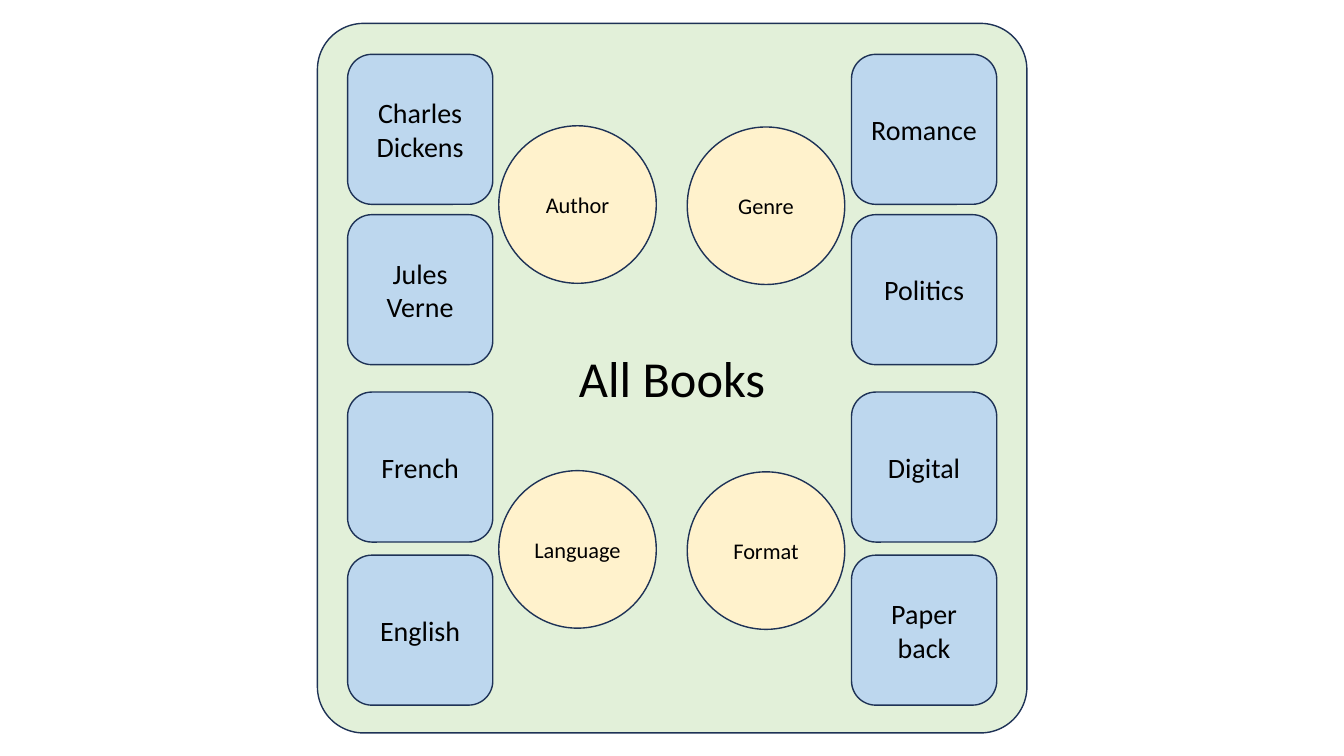
from pptx import Presentation
from pptx import util as u
from pptx.dml.color import RGBColor
from pptx.enum import shapes, text

GREEN = RGBColor(0xE2, 0xF0, 0xD9)
BLUE = RGBColor(0xBD, 0xD7, 0xEE)
CREAM = RGBColor(0xFF, 0xF2, 0xCC)
NAVY = RGBColor(0x1E, 0x32, 0x56)
BLACK = RGBColor(0, 0, 0)

TILE_LEFTS = (8.76, 21.46)
TILE_TOPS = (1.37, 5.41, 9.88, 13.99)
TILE_WIDTH, TILE_HEIGHT = 3.66, 3.78
TILES = (
    ("Charles Dickens", "Romance"),
    ("Jules Verne", "Politics"),
    ("French", "Digital"),
    ("English", "Paper\nback"),
)

FACET_LEFTS = (12.57, 17.32)
FACET_TOPS = (3.17, 11.86)
FACET_SIZE = 3.97
FACET_STEP = 0.03  # the right-hand circles sit slightly lower
FACETS = (("Author", "Genre"), ("Language", "Format"))


def write(shape, words, size):
    """Fill a shape with centred black text, one paragraph per line."""
    shape.text_frame.text = words
    shape.text_frame.word_wrap = True
    font_format = {"name": "Calibri", "size": u.Pt(size), "bold": False}
    for para in shape.text_frame.paragraphs:
        para.alignment = text.PP_ALIGN.CENTER
        for span in para.runs:
            for name, value in font_format.items():
                setattr(span.font, name, value)
            span.font.color.rgb = BLACK


def add_outlined(kind, left, top, width, height, fill):
    shape = page.shapes.add_shape(
        kind, u.Cm(left), u.Cm(top), u.Cm(width), u.Cm(height))
    shape.shadow.inherit = False
    shape.fill.solid()
    shape.fill.fore_color.rgb = fill
    shape.line.color.rgb = NAVY
    shape.line.width = u.Pt(1)
    shape.text_frame.vertical_anchor = text.MSO_ANCHOR.MIDDLE
    return shape


deck = Presentation()
deck.slide_width, deck.slide_height = u.Cm(33.87), u.Cm(19.05)
page = deck.slides.add_slide(deck.slide_layouts.get_by_name("Title Only"))

ROUNDED = shapes.MSO_SHAPE.ROUNDED_RECTANGLE
panel = add_outlined(ROUNDED, 8, 0.59, 17.88, 17.88, GREEN)
panel.adjustments[0] = 0.065

for top, row in zip(TILE_TOPS, TILES):
    for left, words in zip(TILE_LEFTS, row):
        tile = add_outlined(ROUNDED, left, top, TILE_WIDTH, TILE_HEIGHT, BLUE)
        write(tile, words, 20)

for top, row in zip(FACET_TOPS, FACETS):
    for column, words in enumerate(row):
        facet = add_outlined(
            shapes.MSO_SHAPE.OVAL, FACET_LEFTS[column],
            top + column * FACET_STEP, FACET_SIZE, FACET_SIZE, CREAM)
        write(facet, words, 16)

title = page.shapes.title
title_place = {"left": 13.79, "top": 8.61, "width": 6.3, "height": 1.8}
for name, value in title_place.items():
    setattr(title, name, u.Cm(value))
write(title, "All Books", 36)
title.text_frame.vertical_anchor = text.MSO_ANCHOR.TOP
title.text_frame.auto_size = text.MSO_AUTO_SIZE.SHAPE_TO_FIT_TEXT
# Bring the title in front of the green panel
title.element.getparent().append(title.element)

deck.save("out.pptx")
